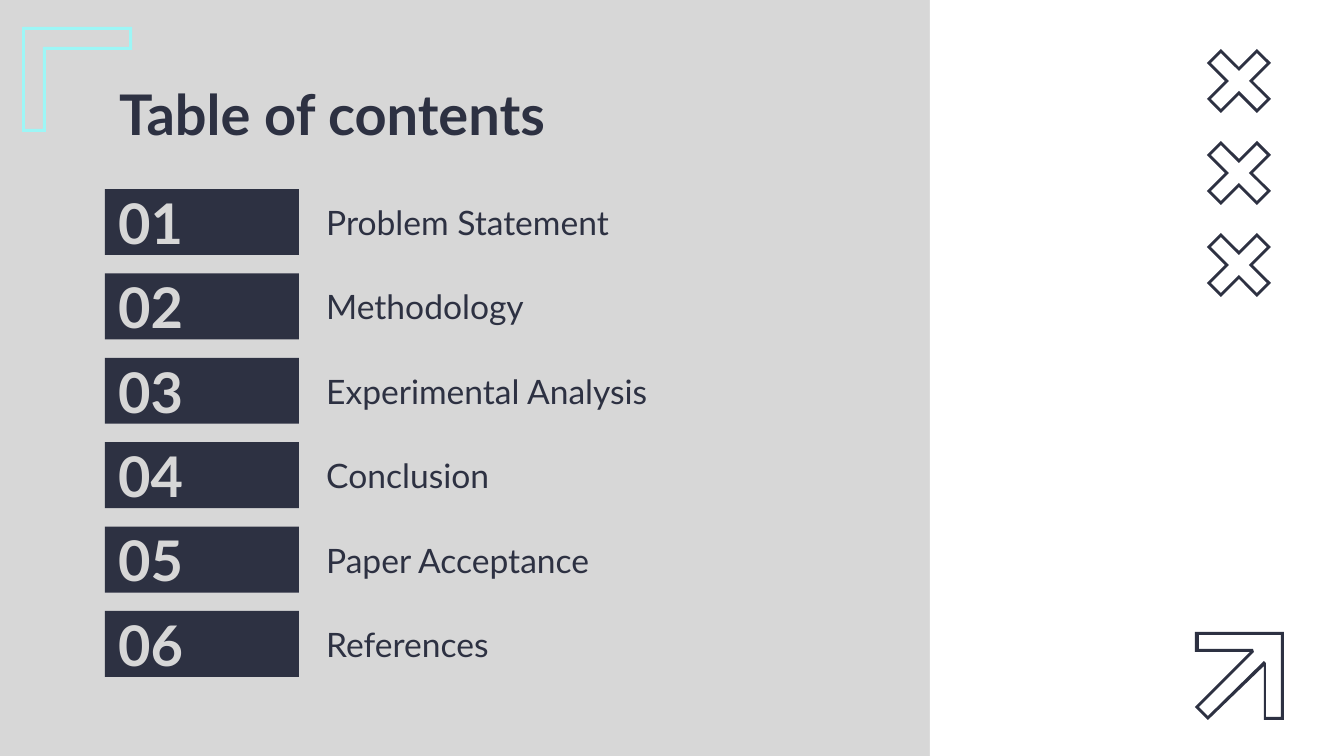
from dataclasses import dataclass

from pptx import Presentation
from pptx.dml.color import RGBColor
from pptx.enum.shapes import MSO_SHAPE
from pptx.enum.text import MSO_ANCHOR, PP_ALIGN
from pptx.util import Emu, Inches, Pt

RECTANGLE = MSO_SHAPE.RECTANGLE
TOP = MSO_ANCHOR.TOP
MIDDLE = MSO_ANCHOR.MIDDLE
LEFT = PP_ALIGN.LEFT
EMU_PER_PX = 914400 / 134.4


@dataclass(frozen=True)
class Theme:
    background: RGBColor = RGBColor.from_string("D7D7D7")
    panel: RGBColor = RGBColor.from_string("FFFFFF")
    ink: RGBColor = RGBColor.from_string("2D3142")
    accent: RGBColor = RGBColor.from_string("9DF6F6")
    font: str = "Lato"
    heading_size: int = 30
    label_size: int = 18


THEME = Theme()
SECTIONS = [
    "Problem Statement",
    "Methodology",
    "Experimental Analysis",
    "Conclusion",
    "Paper Acceptance",
    "References",
]
FIRST_ROW_TOP, LAST_ROW_TOP, ROW_HEIGHT = 189, 611, 66
CROSS_CENTERS = [(1239, 81 + 92 * index) for index in range(3)]
BRACKET = [
    [(132, 27), (22, 27), (22, 132), (46, 132), (46, 50), (132, 50)],
    [(129, 30), (25, 30), (25, 129), (43, 129), (43, 47), (129, 47)],
]
ARROW = [
    [(1195, 632), (1195, 652), (1250, 652), (1195, 707), (1208, 720),
     (1264, 666), (1264, 720), (1284, 720), (1284, 632)],
    [(1281, 635), (1281, 717), (1266, 717), (1266, 663), (1264, 661),
     (1208, 716), (1199, 707), (1254, 652), (1253, 649), (1199, 649),
     (1199, 635)],
]


def px(length):
    return Emu(round(length * EMU_PER_PX))


def paint(shape, color):
    shape.fill.solid()
    shape.fill.fore_color.rgb = color
    shape.line.fill.background()
    shape.shadow.inherit = False


def add_rectangle(slide, box, color):
    shape = slide.shapes.add_shape(RECTANGLE, *map(px, box))
    paint(shape, color)
    return shape


def add_outline(slide, contours, color):
    first, *others = contours
    builder = slide.shapes.build_freeform(*first[0], scale=EMU_PER_PX)
    builder.add_line_segments(first[1:], close=True)
    for contour in others:
        builder.move_to(*contour[0])
        builder.add_line_segments(contour[1:], close=True)
    paint(builder.convert_to_shape(), color)


def cross_contour(center, tip, shoulder, notch):
    center_x, center_y = center
    arm = [(-shoulder, -tip), (-tip, -shoulder), (-notch, 0)]
    points = []
    for _ in range(4):
        points += [(center_x + x, center_y + y) for x, y in arm]
        arm = [(y, -x) for x, y in arm]
    return points


def write(shape, text, size, color, bold=False, anchor=MIDDLE):
    frame = shape.text_frame
    frame.word_wrap = True
    frame.vertical_anchor = anchor
    frame.margin_left = frame.margin_right = Inches(0.1)
    frame.margin_top = frame.margin_bottom = Inches(0.1)
    paragraph = frame.paragraphs[0]
    paragraph.text = text
    paragraph.alignment = LEFT
    paragraph.font.name = THEME.font
    paragraph.font.size = Pt(size)
    paragraph.font.bold = bold
    paragraph.font.color.rgb = color


def add_text(slide, box, text, size, bold=False, anchor=MIDDLE):
    shape = slide.shapes.add_textbox(*map(px, box))
    write(shape, text, size, THEME.ink, bold, anchor)


def add_section(slide, number, label, top):
    badge = add_rectangle(slide, (105, top, 194, ROW_HEIGHT), THEME.ink)
    write(badge, f"{number:02}", THEME.heading_size, THEME.background, bold=True)
    add_text(slide, (313, top, 513, ROW_HEIGHT), label, THEME.label_size)


def add_decoration(slide):
    add_outline(slide, BRACKET, THEME.accent)
    add_rectangle(slide, (930, 0, 414, 756), THEME.panel)
    crosses = [
        cross_contour(center, *reach)
        for center in CROSS_CENTERS
        for reach in ((32, 18, 14), (28, 18, 10))
    ]
    add_outline(slide, crosses, THEME.ink)
    add_outline(slide, ARROW, THEME.ink)


def main():
    presentation = Presentation()
    presentation.slide_width = px(1344)
    presentation.slide_height = px(756)
    slide = presentation.slides.add_slide(presentation.slide_layouts[6])
    slide.background.fill.solid()
    slide.background.fill.fore_color.rgb = THEME.background

    add_decoration(slide)
    add_text(slide, (106, 66, 824, 84), "Table of contents",
             THEME.heading_size, bold=True, anchor=TOP)
    pitch = (LAST_ROW_TOP - FIRST_ROW_TOP) / (len(SECTIONS) - 1)
    for index, label in enumerate(SECTIONS):
        add_section(slide, index + 1, label, FIRST_ROW_TOP + index * pitch)

    presentation.save("out.pptx")


if __name__ == "__main__":
    main()
